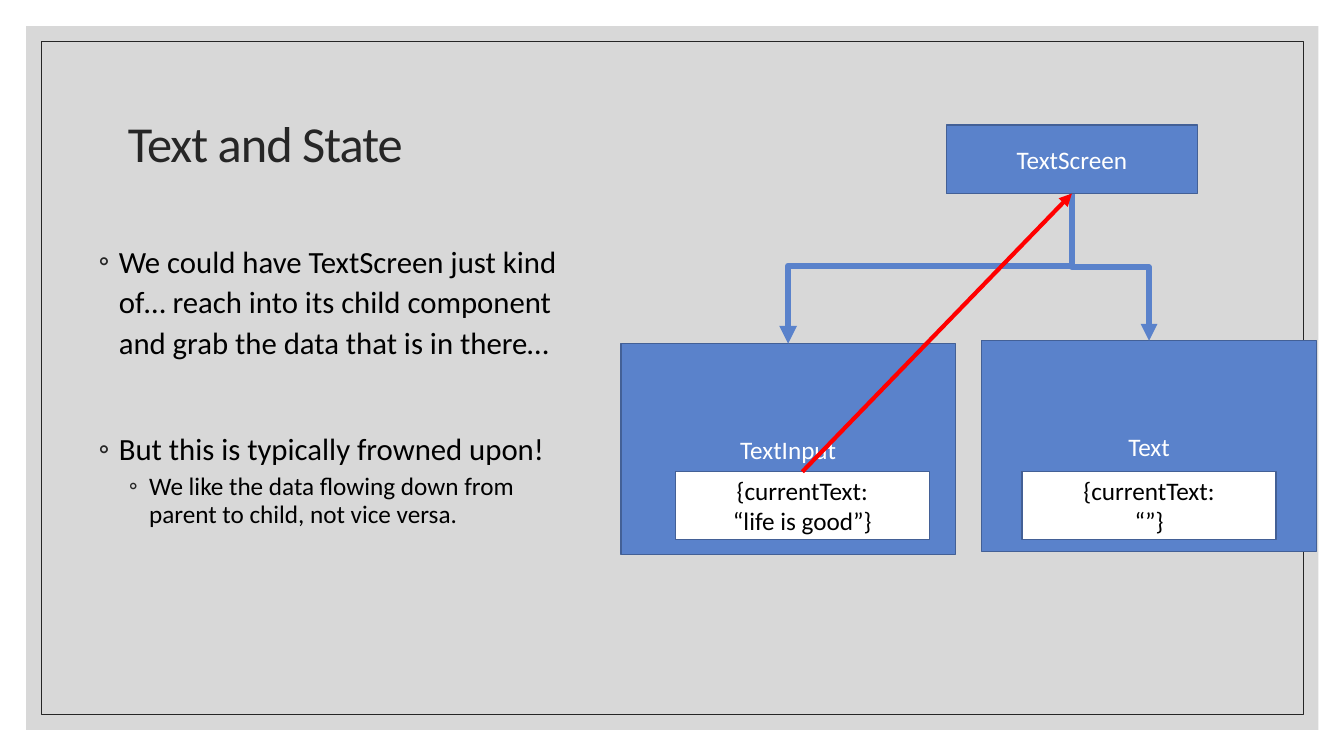
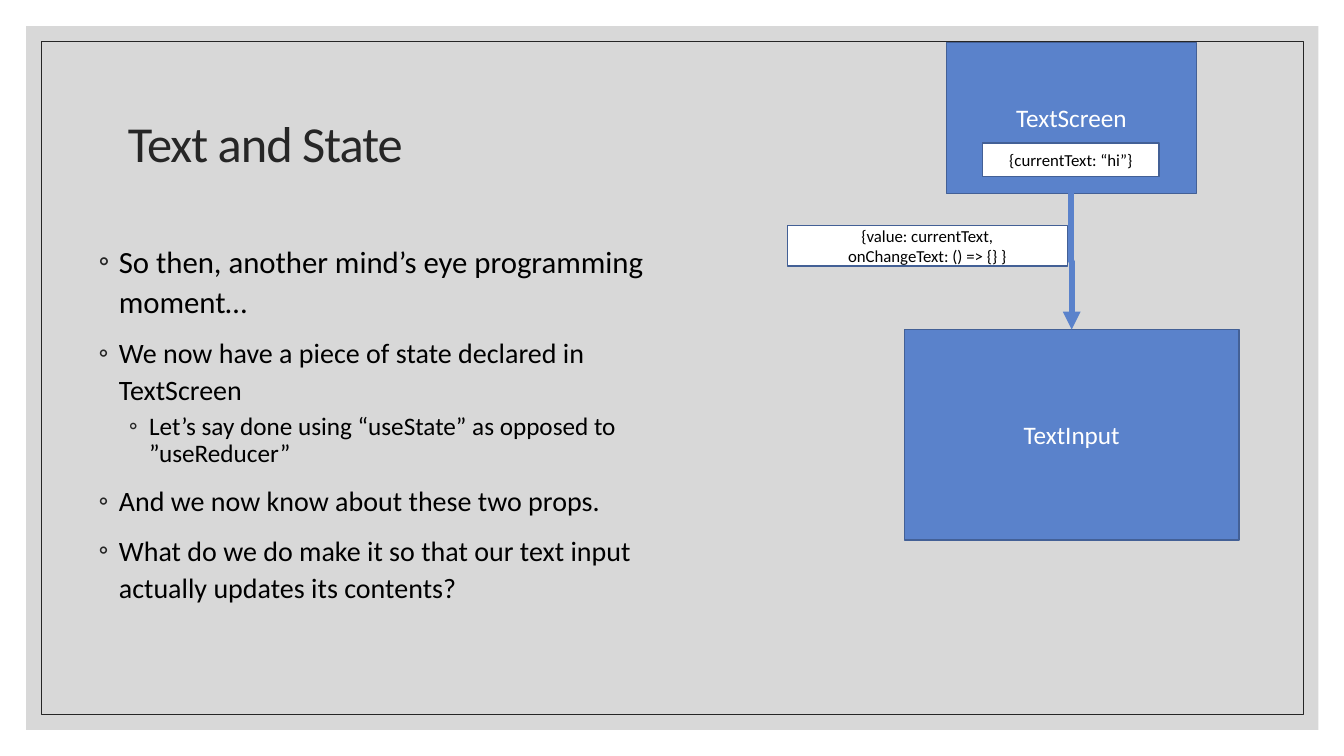
import pptx
import pptx.dml.color
import pptx.enum.shapes
import pptx.enum.text
import pptx.oxml
import pptx.oxml.ns
import pptx.util

Pt = pptx.util.Pt
RGB = pptx.dml.color.RGBColor.from_string
PP_ALIGN = pptx.enum.text.PP_ALIGN
MIDDLE = pptx.enum.text.MSO_ANCHOR.MIDDLE
NO_FIT = pptx.enum.text.MSO_AUTO_SIZE.NONE
CONNECTOR = pptx.enum.shapes.MSO_CONNECTOR
RECTANGLE = pptx.enum.shapes.MSO_SHAPE.RECTANGLE
qn = pptx.oxml.ns.qn

COLORS = {
    "panel": "BFBFBF",
    "ink": "262626",
    "text": "000000",
    "white": "FFFFFF",
    "component": "5A82CB",
    "outline": "436096",
    "shortcut": "FF0000",
}
FONT = "Calibri"
TITLE = "Text and State"
TITLE_PLACE = {"left": Pt(84.2), "top": Pt(50.4), "width": Pt(792), "height": Pt(108)}
TITLE_FRAME = {"word_wrap": True, "vertical_anchor": MIDDLE, "auto_size": NO_FIT}
TITLE_PARAGRAPH = {"alignment": PP_ALIGN.LEFT, "line_spacing": 0.9}
TITLE_FONT = {"name": FONT, "size": Pt(36)}

# Paragraph formats and left margins of the two bullet levels
BULLET_LEVELS = [
    {"level": 0, "line_spacing": 1.1, "alignment": PP_ALIGN.LEFT},
    {"level": 1, "line_spacing": 0.9, "alignment": PP_ALIGN.LEFT},
]
BULLET_MARGINS = [Pt(14.4), Pt(36)]

# Bullets: level, size, space before, text
# Boxes: key, place, text, size, fill, text colour
# Links: from, to, kind, colour, line width, position of the bend
COMPONENT = ("component", "white")
STATE = ("white", "text")
SLIDES = [
    {
        "body_width": 352,
        "bullets": [
            (0, 22, 0, "We could have TextScreen just kind of… reach into its child "
                       "component and grab the data that is in there…"),
            (0, 22, 47, "But this is typically frowned upon!"),
            (1, 18, 5, "We like the data flowing down from parent to child, not vice versa."),
        ],
        "boxes": [
            ("screen", (676, 89.3, 179.3, 49), "TextScreen", 18, *COMPONENT),
            ("input", (443.5, 245.5, 239, 150.5), "TextInput", 18, *COMPONENT),
            ("input state", (482.4, 337, 181.4, 48.2), "{currentText:\n“life is good”}", 18, *STATE),
            ("text", (701.3, 243.4, 239, 150.5), "Text", 18, *COMPONENT),
            ("text state", (730.1, 337, 181.4, 48.2), "{currentText:\n“”}", 18, *STATE),
        ],
        "links": [
            ("screen", "input", "elbow", "component", 4.25, 0.48),
            ("screen", "text", "elbow", "component", 4, 0.5),
            ("input state", "screen", "straight", "shortcut", 3, None),
        ],
    },
    {
        "body_width": 417,
        "bullets": [
            (0, 22, 0, "So then, another mind’s eye programming moment…"),
            (0, 20, 9, "We now have a piece of state declared in TextScreen"),
            (1, 18, 5, "Let’s say done using “useState” as opposed to ”useReducer”"),
            (0, 20, 9, "And we now know about these two props."),
            (0, 20, 9, "What do we do make it so that our text input actually updates its contents?"),
        ],
        "boxes": [
            ("screen", (676, 30.2, 178.6, 108), "TextScreen", 18, *COMPONENT),
            ("input", (646, 235.4, 239, 150.5), "TextInput", 18, *COMPONENT),
            ("state", (702, 102.2, 126, 23.8), "{currentText: “hi”}", 12, *STATE),
            ("props", (562.3, 161.3, 200.2, 28.8),
             "{value: currentText,\nonChangeText: () => {} }", 12, *STATE),
        ],
        "links": [("screen", "input", "elbow", "component", 4.25, 0.5)],
    },
]


def add_box(slide, place, fill, outline, line_width, text="", size=18, color="text"):
    """Add a rectangle with centred text."""
    box = slide.shapes.add_shape(RECTANGLE, *[Pt(length) for length in place])
    box.shadow.inherit = False
    if fill:
        box.fill.solid()
        box.fill.fore_color.rgb = RGB(COLORS[fill])
    else:
        box.fill.background()
    if outline:
        box.line.color.rgb = RGB(COLORS[outline])
        box.line.width = Pt(line_width)
    else:
        box.line.fill.background()
    if text:
        frame = box.text_frame
        frame.word_wrap = True
        frame.vertical_anchor = MIDDLE
        frame.text = text
        for paragraph in frame.paragraphs:
            paragraph.alignment = PP_ALIGN.CENTER
            font = paragraph.runs[0].font
            font.name, font.size = FONT, Pt(size)
            font.color.rgb = RGB(COLORS[color])
    return box


def add_link(slide, start, end, kind, color, width, bend):
    """Join two boxes with an arrow, from bottom to top or the reverse."""
    x1, x2 = start.left + start.width // 2, end.left + end.width // 2
    if kind == "straight":
        link = slide.shapes.add_connector(CONNECTOR.STRAIGHT, x1, start.top, x2, end.top + end.height)
        link.begin_connect(start, 0)
        link.end_connect(end, 2)
    else:
        # A vertical start needs the elbow turned by a quarter
        y1, y2 = start.top + start.height, end.top
        run, rise = y2 - y1, abs(x2 - x1)
        left, top = (x1 + x2 - run) // 2, (y1 + y2 - rise) // 2
        sides = (left, left + run) if x2 < x1 else (left + run, left)
        link = slide.shapes.add_connector(CONNECTOR.ELBOW, sides[0], top, sides[1], top + rise)
        turn = 90 if x2 < x1 else 270
        properties = link.element.spPr
        properties.find(qn("a:xfrm")).set("rot", str(turn * 60000))
        guides = properties.find(qn("a:prstGeom")).find(qn("a:avLst"))
        guide = pptx.oxml.ns.qn("a:gd")
        bend_guide = guides.makeelement(guide, {"name": "adj1", "fmla": f"val {round(bend * 100000)}"})
        guides.append(bend_guide)
    link.line.color.rgb = RGB(COLORS[color])
    link.line.width = Pt(width)
    line = link.line.fill and link.element.spPr.find(qn("a:ln"))
    line.append(line.makeelement(qn("a:tailEnd"), {"type": "triangle"}))
    link.element.spPr.append(line.makeelement(qn("a:effectLst"), {}))


deck = pptx.Presentation()
deck.slide_width, deck.slide_height = Pt(960), Pt(540)
layout = deck.slide_layouts[5]

for number, content in enumerate(SLIDES):
    slide = deck.slides.add_slide(layout)

    # Panel and frame, made once and kept in the layout
    if number == 0:
        for placeholder in list(layout.placeholders)[1:]:
            layout.shapes.element.remove(placeholder.element)
        panel = add_box(slide, (18.7, 18.7, 923, 502.6), "panel", None, 0)
        panel_color = panel.element.spPr.find(qn("a:solidFill"))[0]
        panel_color.append(panel_color.makeelement(qn("a:alpha"), {"val": "60000"}))
        frame_line = add_box(slide, (29.5, 29.5, 901.4, 481), None, "ink", 0.5)
        for position, part in enumerate((panel, frame_line), start=2):
            layout.shapes.element.insert(position, part.element)

    # Title
    title = slide.shapes.title
    title.text_frame.text = TITLE
    title_paragraph = title.text_frame.paragraphs[0]
    title_run = title_paragraph.runs[0]
    for target, values in (
        (title, TITLE_PLACE),
        (title.text_frame, TITLE_FRAME),
        (title_paragraph, TITLE_PARAGRAPH),
        (title_run.font, TITLE_FONT),
    ):
        for attribute, value in values.items():
            setattr(target, attribute, value)
    title_run.font.color.rgb = RGB(COLORS["ink"])
    title_run._r.get_or_add_rPr().set("spc", "-70")

    # Bullets
    body = slide.shapes.add_textbox(Pt(63.4), Pt(167), Pt(content["body_width"]), Pt(303)).text_frame
    body.word_wrap = True
    for index, (level, size, space_before, text) in enumerate(content["bullets"]):
        paragraph = body.paragraphs[0] if index == 0 else body.add_paragraph()
        bullet = paragraph._p.get_or_add_pPr()
        bullet.set("marL", str(BULLET_MARGINS[level]))
        bullet.set("indent", str(-Pt(14.4)))
        bullet_color = bullet.makeelement(qn("a:buClr"), {})
        bullet_color.append(bullet.makeelement(qn("a:srgbClr"), {"val": COLORS["ink"]}))
        bullet.append(bullet_color)
        bullet.append(bullet.makeelement(qn("a:buFont"), {"typeface": FONT}))
        bullet.append(bullet.makeelement(qn("a:buChar"), {"char": "◦"}))
        for attribute, value in BULLET_LEVELS[level].items():
            setattr(paragraph, attribute, value)
        paragraph.space_before = Pt(space_before)
        run = paragraph.add_run()
        run.text = text
        run.font.name, run.font.size = FONT, Pt(size)
        run.font.color.rgb = RGB(COLORS["text"])

    # Component tree
    boxes = {}
    for key, place, text, size, fill, color in content["boxes"]:
        boxes[key] = add_box(slide, place, fill, "outline", 1, text, size, color)
    for start, end, *style in content["links"]:
        add_link(slide, boxes[start], boxes[end], *style)

deck.save("out.pptx")
